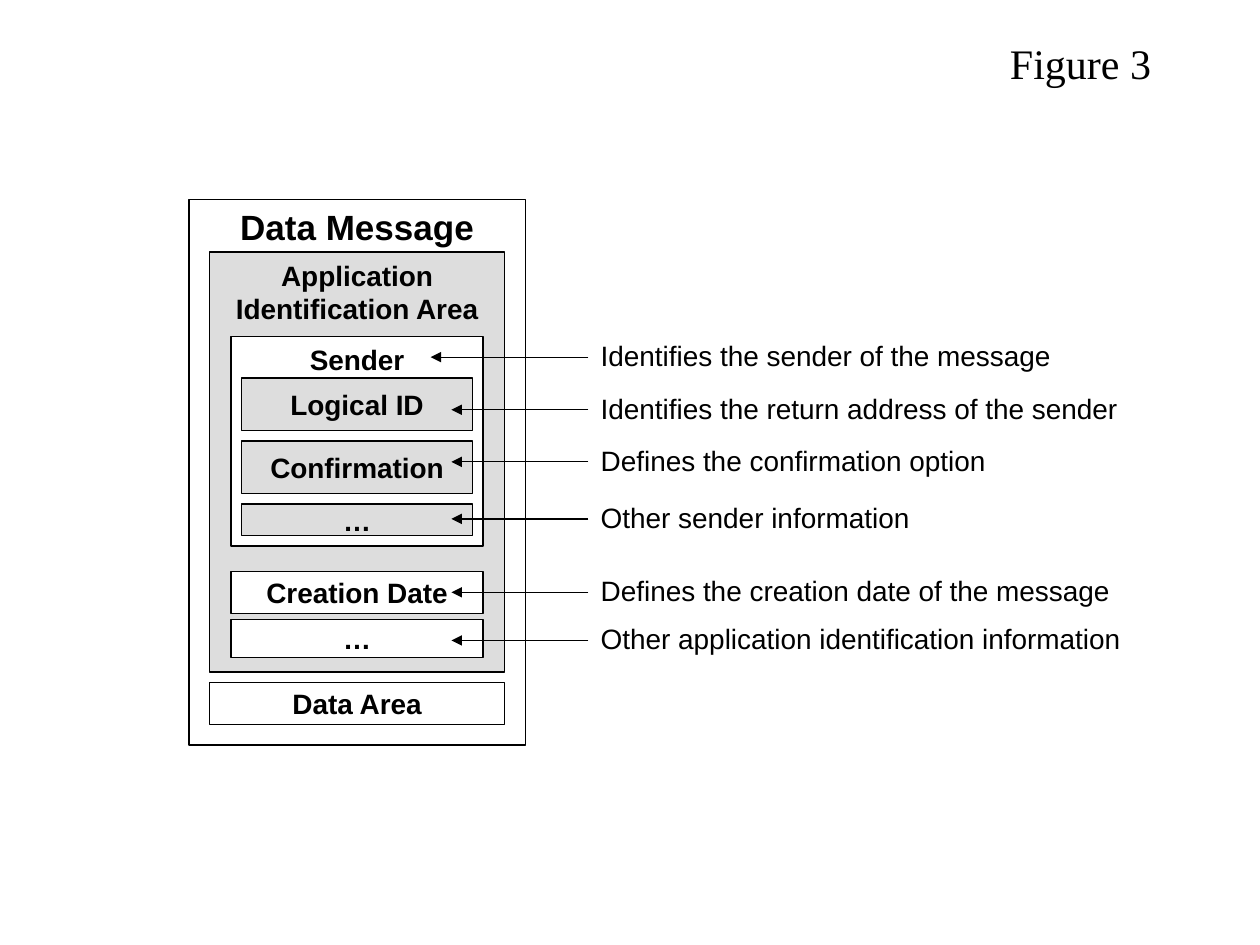
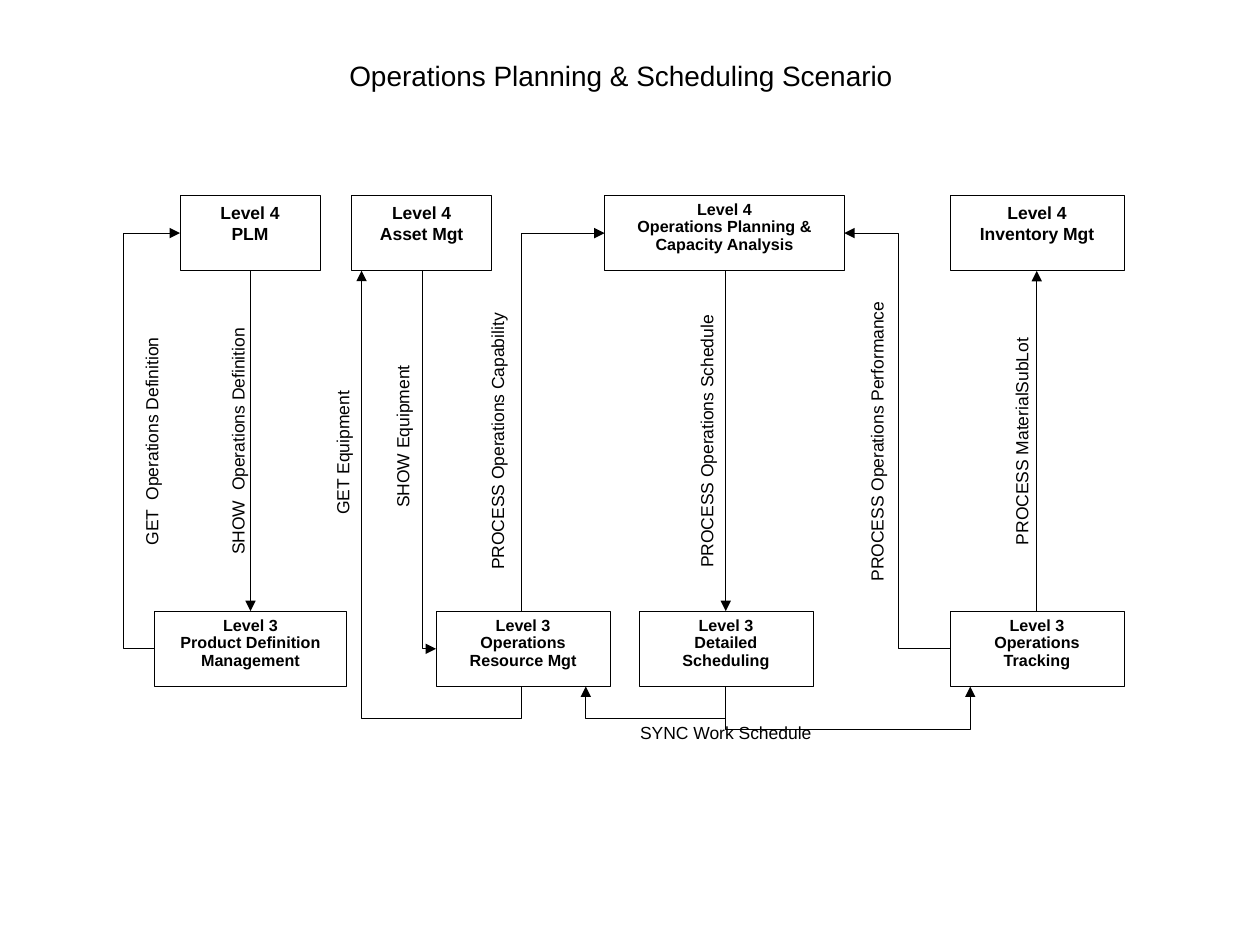
from lxml.etree import SubElement
from pptx import Presentation
from pptx.dml.color import RGBColor
from pptx.enum.shapes import MSO_CONNECTOR, MSO_SHAPE
from pptx.enum.text import MSO_ANCHOR, PP_ALIGN
from pptx.oxml.ns import qn
from pptx.util import Cm, Pt

BLACK = RGBColor(0x00, 0x00, 0x00)
WHITE = RGBColor(0xFF, 0xFF, 0xFF)
GREY = RGBColor(0xDD, 0xDD, 0xDD)
TOP, MIDDLE = MSO_ANCHOR.TOP, MSO_ANCHOR.MIDDLE
LEFT, CENTER = PP_ALIGN.LEFT, PP_ALIGN.CENTER
BOLD = {"name": "Arial", "bold": True}
PLAIN = {"name": "Arial", "bold": False}

prs = Presentation()
prs.slide_width, prs.slide_height = Cm(25.4), Cm(19.05)


def write(sp, text, size, font, align=CENTER, anchor=TOP, wrap=True, spacing=1.0):
    """Fill a shape with one paragraph per line of text."""
    tf = sp.text_frame
    tf.word_wrap, tf.vertical_anchor = wrap, anchor
    for i, line in enumerate(text.split("\n")):
        p = tf.paragraphs[0] if i == 0 else tf.add_paragraph()
        p.alignment, p.line_spacing = align, spacing
        r = p.add_run()
        r.text = line
        r.font.size = Pt(size)
        r.font.color.rgb = BLACK
        for key, value in font.items():
            setattr(r.font, key, value)


def arrow(s, points, width):
    """Draw a straight connector or an open route ending in an arrowhead."""
    pts = [(Cm(x), Cm(y)) for x, y in points]
    if len(pts) == 2:
        sp = s.shapes.add_connector(MSO_CONNECTOR.STRAIGHT, *pts[0], *pts[1])
    else:
        route = s.shapes.build_freeform(*pts[0])
        route.add_line_segments(pts[1:], close=False)
        sp = route.convert_to_shape()
        sp.fill.background()
    sp.line.color.rgb = BLACK
    sp.line.width = Pt(width)
    spPr = sp.element.spPr
    SubElement(spPr.find(qn("a:ln")), qn("a:tailEnd"), type="triangle")
    SubElement(spPr, qn("a:effectLst"))


# Slide 1: structure of a data message
s = prs.slides.add_slide(prs.slide_layouts[6])
sp = s.shapes.add_textbox(Cm(20.11), Cm(0.64), Cm(3.81), Cm(1.27))
write(sp, "Figure 3", 24, {"name": "Times New Roman"}, align=LEFT)

# Nested boxes: inset from the outer box, top, height, fill, anchor, size, text
OUTER_X, OUTER_W = 3.81, 6.78
for inset, y, h, fill, anchor, size, text in [
    (0, 4.02, 11, WHITE, TOP, 20, "Data Message"),
    (0.42, 5.08, 8.47, GREY, TOP, 16, "Application\nIdentification Area"),
    (0.42, 13.76, 0.85, WHITE, MIDDLE, 16, "Data Area"),
    (0.85, 6.78, 4.23, WHITE, TOP, 16, "Sender"),
    (0.85, 11.52, 0.85, WHITE, MIDDLE, 16, "Creation Date"),
    (0.85, 12.49, 0.76, WHITE, MIDDLE, 16, "…"),
    (1.06, 7.62, 1.06, GREY, MIDDLE, 16, "Logical ID"),
    (1.06, 8.89, 1.06, GREY, MIDDLE, 16, "Confirmation"),
    (1.06, 10.16, 0.64, GREY, MIDDLE, 16, "…"),
]:
    sp = s.shapes.add_shape(MSO_SHAPE.RECTANGLE, Cm(OUTER_X + inset), Cm(y),
                            Cm(OUTER_W - 2 * inset), Cm(h))
    sp.shadow.inherit = False
    sp.fill.solid()
    sp.fill.fore_color.rgb = fill
    sp.line.color.rgb = BLACK
    sp.line.width = Pt(0.74)
    write(sp, text, size, BOLD, anchor=anchor, wrap=False)

# Explanations with arrows: arrow tip, height, text
NOTE_X = 11.86
for tip, y, text in [
    (8.68, 7.2, "Identifies the sender of the message"),
    (9.1, 8.26, "Identifies the return address of the sender"),
    (9.1, 9.31, "Defines the confirmation option"),
    (9.1, 10.46, "Other sender information"),
    (9.1, 11.94, "Defines the creation date of the message"),
    (9.1, 12.91, "Other application identification information"),
]:
    sp = s.shapes.add_textbox(Cm(NOTE_X), Cm(y - 0.5), Cm(11.43), Cm(0.94))
    write(sp, text, 16, PLAIN, align=LEFT)
    arrow(s, [(NOTE_X, y), (tip, y)], 0.74)

# Slide 2: planning and scheduling scenario
s = prs.slides.add_slide(prs.slide_layouts[5])
sp = s.shapes.title
sp.left, sp.top, sp.width, sp.height = Cm(2.54), Cm(1.07), Cm(19.96), Cm(0.91)
write(sp, "Operations Planning & Scheduling Scenario", 16, PLAIN, anchor=MIDDLE)

# Systems in two rows: level, left, width, size, line spacing, name
BOX_H = 1.52
ROW_Y = {4: 3.94, 3: 12.32}
for level, x, w, size, spacing, name in [
    (4, 3.63, 2.82, 10, 1.0, "PLM"),
    (4, 7.09, 2.82, 10, 1.0, "Asset Mgt"),
    (4, 12.19, 4.83, 9.2, 0.9, "Operations Planning & Capacity Analysis"),
    (4, 19.15, 3.51, 10, 1.0, "Inventory Mgt"),
    (3, 3.12, 3.86, 9.2, 0.9, "Product Definition Management"),
    (3, 8.79, 3.51, 9.2, 0.9, "Operations Resource Mgt"),
    (3, 12.88, 3.51, 9.2, 0.9, "Detailed Scheduling"),
    (3, 19.15, 3.51, 9.2, 0.9, "Operations Tracking"),
]:
    sp = s.shapes.add_shape(MSO_SHAPE.RECTANGLE, Cm(x), Cm(ROW_Y[level]), Cm(w), Cm(BOX_H))
    sp.shadow.inherit = False
    sp.fill.solid()
    sp.fill.fore_color.rgb = WHITE
    sp.line.color.rgb = BLACK
    sp.line.width = Pt(0.37)
    write(sp, f"Level {level}\n{name}", size, BOLD, spacing=spacing)

# Message routes between the edges and middles of the rows
UP_MID, UP_END = ROW_Y[4] + BOX_H / 2, ROW_Y[4] + BOX_H
LOW, LOW_MID, LOW_END = ROW_Y[3], ROW_Y[3] + BOX_H / 2, ROW_Y[3] + BOX_H
for points in [
    [(5.05, UP_END), (5.05, LOW)],
    [(3.12, LOW_MID), (2.49, LOW_MID), (2.49, UP_MID), (3.63, UP_MID)],
    [(10.52, LOW), (10.52, UP_MID), (12.19, UP_MID)],
    [(14.63, UP_END), (14.63, LOW)],
    [(19.15, LOW_MID), (18.1, LOW_MID), (18.1, UP_MID), (17.02, UP_MID)],
    [(20.9, LOW), (20.9, UP_END)],
    [(8.51, UP_END), (8.51, LOW_MID), (8.79, LOW_MID)],
    [(10.52, LOW_END), (10.52, 14.48), (7.29, 14.48), (7.29, UP_END)],
    [(14.63, LOW_END), (14.63, 14.48), (11.81, 14.48), (11.81, LOW_END)],
    [(14.63, LOW_END), (14.63, 14.71), (19.56, 14.71), (19.56, LOW_END)],
]:
    arrow(s, points, 0.37)

# Message labels: centre, width with room for one line, rotation, text
LABEL_H = 0.69
for cx, cy, w, rotation, text in [
    (3.06, 8.9, 4.9, 270, "GET  Operations Definition"),
    (4.8, 8.9, 5.3, 270, "SHOW  Operations Definition"),
    (6.91, 9.13, 3.2, 270, "GET Equipment"),
    (8.12, 8.8, 3.6, 270, "SHOW Equipment"),
    (10.03, 8.9, 5.9, 270, "PROCESS Operations Capability"),
    (14.25, 8.9, 5.8, 270, "PROCESS Operations Schedule"),
    (17.68, 8.9, 6.4, 270, "PROCESS Operations Performance"),
    (20.6, 8.9, 4.9, 270, "PROCESS MaterialSubLot"),
    (14.63, 14.77, 4.2, 0, "SYNC Work Schedule"),
]:
    sp = s.shapes.add_textbox(Cm(cx - w / 2), Cm(cy - LABEL_H / 2), Cm(w), Cm(LABEL_H))
    sp.rotation = rotation
    write(sp, text, 10, PLAIN, wrap=False)

prs.save("out.pptx")
